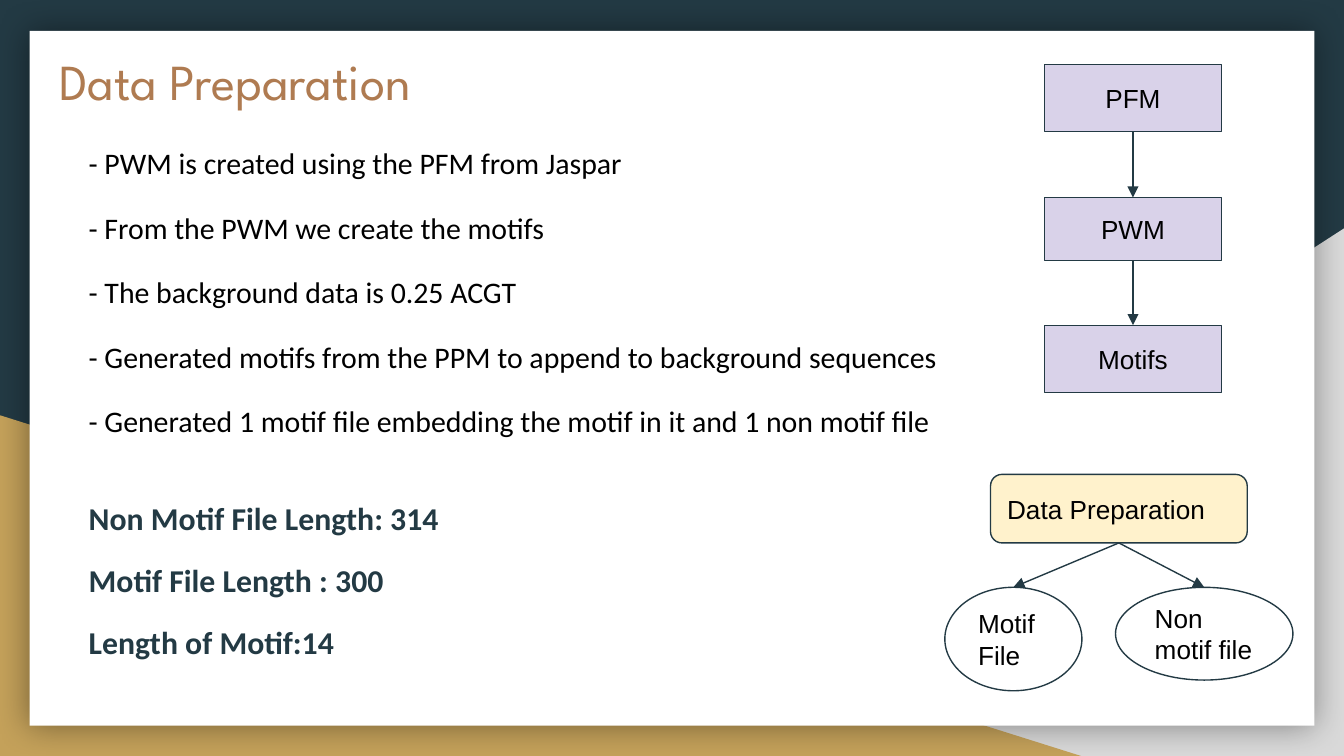
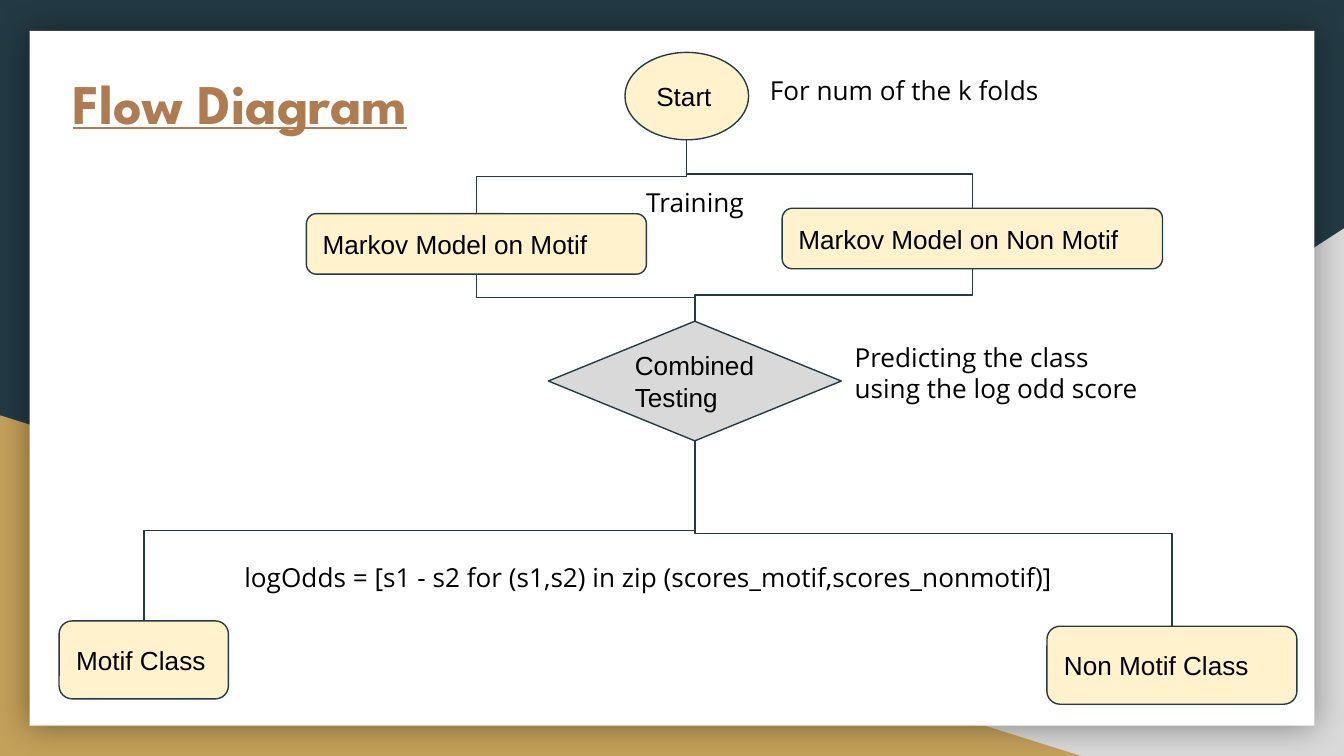
from lxml import etree
from pptx import Presentation
from pptx import util as u
from pptx.dml.color import RGBColor
from pptx.enum import shapes, text
from pptx.oxml.ns import qn

COLOURS = {
    "navy": "233A44", "gold": "C4A15A", "grey": "D9D9D9", "white": "FFFFFF",
    "black": "000000", "copper": "AF7B51", "lilac": "D9D2E9", "cream": "FFF2CC",
}
KINDS = shapes.MSO_SHAPE
LINES = shapes.MSO_CONNECTOR

LABEL = {"name": "Arial", "size": u.Pt(14), "colour": "black"}
NOTE = LABEL | {"name": "Open Sans"}
HEADING = {"name": "League Spartan", "colour": "copper"}
POINT = {"name": "Calibri", "size": u.Pt(16), "colour": "black"}
FIGURE = POINT | {"size": u.Pt(17), "colour": "navy", "bold": True}

BANDS = [
    (KINDS.RIGHT_TRIANGLE, "grey", (3.92, 1.7, 6.08, 3.93)),
    (KINDS.RIGHT_TRIANGLE, "gold", (0, 3.09, 8.06, 2.54)),
    (KINDS.RECTANGLE, "white", (0.22, 0.23, 9.56, 5.17)),
]

PREPARATION = {
    "title": ("Data Preparation", (0.34, 0.27, 6.95, 0.77), {"size": u.Pt(27)}),
    "points": [
        "- PWM is created using the PFM from Jaspar",
        "- From the PWM we create the motifs",
        "- The background data is 0.25 ACGT",
        "- Generated motifs from the PPM to append to background sequences",
        "- Generated 1 motif file embedding the motif in it and 1 non motif file",
    ],
    "figures": [
        "Non Motif File Length: 314",
        "Motif File Length : 300",
        "Length of Motif:14",
    ],
    "boxes": {
        "pfm": ("PFM", KINDS.RECTANGLE, "lilac", (7.77, 0.48, 1.32, 0.5)),
        "pwm": ("PWM", KINDS.RECTANGLE, "lilac", (7.77, 1.47, 1.32, 0.47)),
        "motifs": ("Motifs", KINDS.RECTANGLE, "lilac", (7.77, 2.42, 1.32, 0.5)),
        "data": ("Data Preparation", KINDS.FLOWCHART_ALTERNATE_PROCESS, "cream",
                 (7.37, 3.53, 1.91, 0.51)),
        "motif": ("Motif File", KINDS.OVAL, "white", (7.03, 4.37, 1.02, 0.77)),
        "other": ("Non motif file", KINDS.OVAL, "white", (8.3, 4.37, 1.32, 0.69)),
    },
    "arrows": [("pfm", "pwm"), ("pwm", "motifs"), ("data", "motif"), ("data", "other")],
}

FLOW = {
    "title": ("Flow Diagram", (0.44, 0.41, 3.79, 0.73),
              {"size": u.Pt(30), "bold": True, "underline": True}),
    "boxes": {
        "start": ("Start", KINDS.OVAL, "cream", (4.65, 0.39, 0.92, 0.65)),
        "motif": ("Markov Model on Motif", KINDS.ROUNDED_RECTANGLE, "cream",
                  (2.28, 1.59, 2.53, 0.45)),
        "other": ("Markov Model on Non Motif", KINDS.ROUNDED_RECTANGLE, "cream",
                  (5.82, 1.55, 2.83, 0.45)),
        "testing": ("Combined Testing", KINDS.DIAMOND, "grey", (4.08, 2.39, 2.18, 0.89)),
        "motif class": ("Motif Class", KINDS.ROUNDED_RECTANGLE, "cream",
                        (0.44, 4.62, 1.26, 0.58)),
        "other class": ("Non Motif Class", KINDS.ROUNDED_RECTANGLE, "cream",
                        (7.79, 4.66, 1.86, 0.58)),
    },
    "elbows": [
        ("start", "motif"), ("start", "other"), ("motif", "testing"),
        ("other", "testing"), ("testing", "motif class"), ("testing", "other class"),
    ],
    "notes": [
        ("For num of the k folds", (5.63, 0.45, 2.83, 0.44)),
        ("Training", (4.71, 1.29, 1.04, 0.44)),
        ("Predicting the class using the log odd score", (6.26, 2.44, 2.35, 0.67)),
        ("logOdds = [s1 - s2 for (s1,s2) in zip (scores_motif,scores_nonmotif)]",
         (1.72, 4.08, 6.4, 0.44)),
    ],
}


def rgb(name):
    return RGBColor.from_string(COLOURS[name])


def inches(place):
    return [u.Inches(value) for value in place]


def style(font, formats):
    for key, value in formats.items():
        if key == "colour":
            font.color.rgb = rgb(value)
        else:
            setattr(font, key, value)


def prepare(box, anchor=text.MSO_ANCHOR.TOP, fit=text.MSO_AUTO_SIZE.NONE):
    formats = {"word_wrap": True, "auto_size": fit, "vertical_anchor": anchor}
    sides = ("left", "top", "right", "bottom")
    formats |= {f"margin_{side}": u.Inches(0.1) for side in sides}
    for key, value in formats.items():
        setattr(box.text_frame, key, value)


def write(para, words, formats, align=text.PP_ALIGN.LEFT):
    para.alignment = align
    span = para.add_run()
    span.text = words
    style(span.font, formats)


def place(box, area):
    for key, value in zip(("left", "top", "width", "height"), inches(area)):
        setattr(box, key, value)


def add_box(page, kind, fill, area):
    box = page.shapes.add_shape(kind, *inches(area))
    box.shadow.inherit = False
    box.fill.solid()
    box.fill.fore_color.rgb = rgb(fill)
    return box


def add_bands(master, page):
    master.background.fill.solid()
    master.background.fill.fore_color.rgb = rgb("navy")
    tree = master.shapes.element
    for index, (kind, fill, area) in enumerate(BANDS):
        band = add_box(page, kind, fill, area)
        band.line.fill.background()
        element = band.element
        element.nvSpPr.cNvPr.set("id", str(100 + index))
        if fill == "grey":
            element.spPr.find(qn("a:xfrm")).set("flipH", "1")
        if fill == "white":
            effects = element.spPr.find(qn("a:effectLst"))
            shadow = etree.SubElement(effects, qn("a:outerShdw"),
                                      blurRad=str(u.Pt(18)), algn="ctr", rotWithShape="0")
            colour = etree.SubElement(shadow, qn("a:srgbClr"), val=COLOURS["black"])
            etree.SubElement(colour, qn("a:alpha"), val="40000")
        tree.insert(2 + index, element)


def add_title(page, words, area, formats):
    title = page.shapes.title
    place(title, area)
    prepare(title)
    write(title.text_frame.paragraphs[0], words, HEADING | formats)


def add_points(page, points, figures):
    body = page.placeholders[1]
    place(body, (0.56, 1.01, 6.73, 4.05))
    prepare(body)
    rows = [(words, POINT, 0.9, 17.3) for words in points]
    rows += [(words, FIGURE, 1.05, 11.8 if index else 31)
             for index, words in enumerate(figures)]
    frame = body.text_frame
    for index, (words, formats, spacing, before) in enumerate(rows):
        para = frame.add_paragraph() if index else frame.paragraphs[0]
        settings = para._p.get_or_add_pPr()
        settings.set("marL", "0")
        settings.set("indent", "0")
        etree.SubElement(settings, qn("a:buNone"))
        para.line_spacing = spacing
        para.space_before = u.Pt(before if index else 0)
        write(para, words, formats)


def add_boxes(page, boxes):
    drawn = {}
    for key, (words, kind, fill, area) in boxes.items():
        box = add_box(page, kind, fill, area)
        box.line.color.rgb = rgb("navy")
        box.line.width = u.Pt(0.75)
        prepare(box, text.MSO_ANCHOR.MIDDLE)
        align = text.PP_ALIGN.CENTER if kind == KINDS.RECTANGLE else text.PP_ALIGN.LEFT
        write(box.text_frame.paragraphs[0], words, LABEL, align)
        drawn[key] = box
    return drawn


def add_link(page, upper, lower, elbow):
    x1, y1 = upper.left + upper.width // 2, upper.top + upper.height
    x2, y2 = lower.left + lower.width // 2, lower.top
    if elbow:
        across, down = abs(x2 - x1), y2 - y1
        left, top = (x1 + x2 - down) // 2, (y1 + y2 - across) // 2
        link = page.shapes.add_connector(LINES.ELBOW, left, top, left + down, top + across)
        frame = link.element.spPr.find(qn("a:xfrm"))
        frame.set("rot", "16200000" if x2 > x1 else "5400000")
        if x2 > x1:
            frame.set("flipH", "1")
    else:
        link = page.shapes.add_connector(LINES.STRAIGHT, x1, y1, x2, y2)
    link.line.color.rgb = rgb("navy")
    link.line.width = u.Pt(0.75)
    settings = link.element.spPr
    if not elbow:
        etree.SubElement(settings.find(qn("a:ln")), qn("a:tailEnd"), type="triangle")
    etree.SubElement(settings, qn("a:effectLst"))


def add_content(page, content):
    add_title(page, *content["title"])
    if "points" in content:
        add_points(page, content["points"], content["figures"])
    drawn = add_boxes(page, content["boxes"])
    for group in ("arrows", "elbows"):
        for upper, lower in content.get(group, []):
            add_link(page, drawn[upper], drawn[lower], group == "elbows")
    for words, area in content.get("notes", []):
        box = page.shapes.add_textbox(*inches(area))
        prepare(box, fit=text.MSO_AUTO_SIZE.SHAPE_TO_FIT_TEXT)
        write(box.text_frame.paragraphs[0], words, NOTE)


def main():
    deck = Presentation()
    deck.slide_width = u.Inches(10)
    deck.slide_height = u.Inches(10) * 9 // 16
    preparation = deck.slides.add_slide(deck.slide_layouts[1])
    flow = deck.slides.add_slide(deck.slide_layouts[5])
    add_bands(deck.slide_master, preparation)
    add_content(preparation, PREPARATION)
    add_content(flow, FLOW)
    deck.save("out.pptx")


if __name__ == "__main__":
    main()
